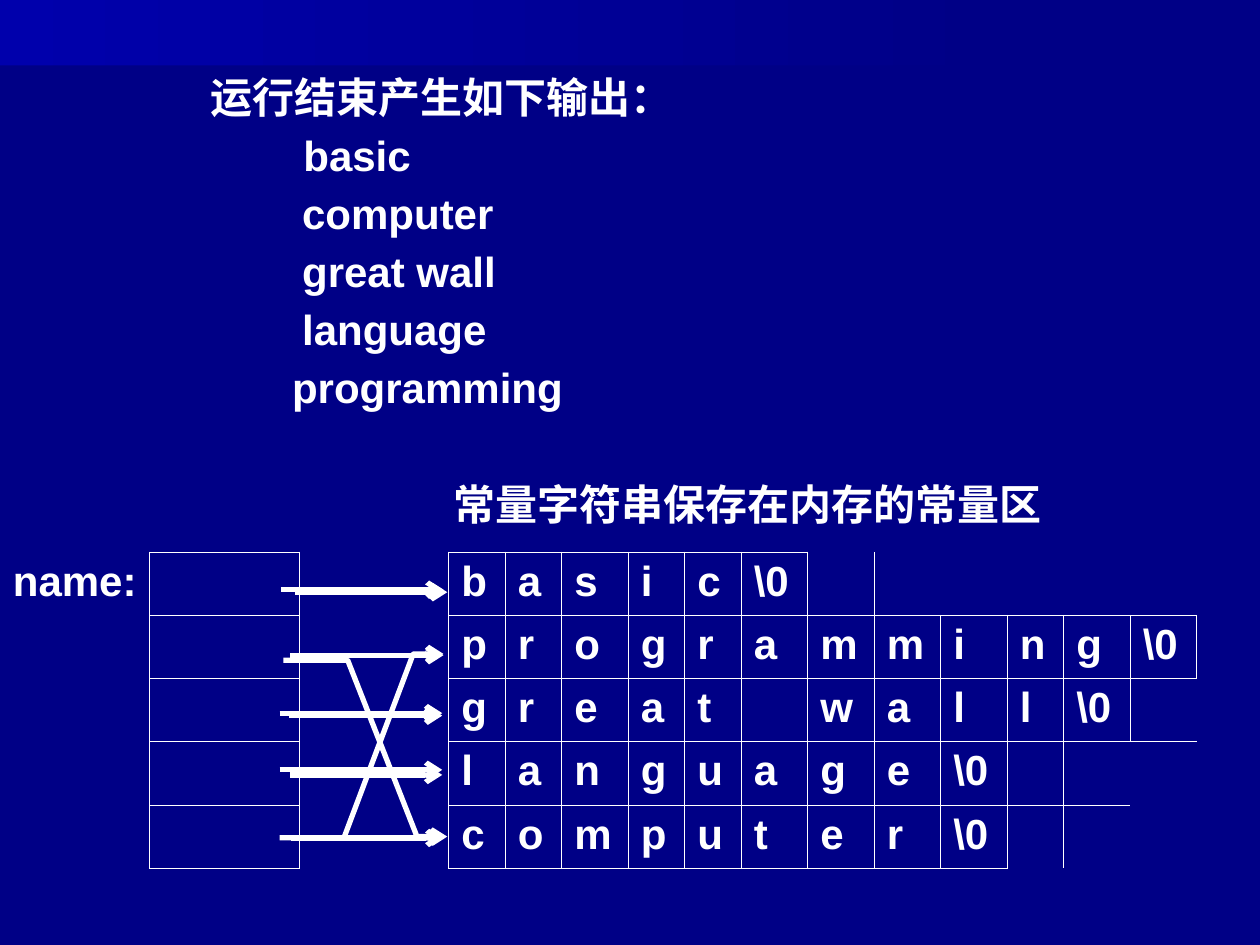
from lxml import etree
from pptx import Presentation, util as u
from pptx.dml.color import RGBColor
from pptx.enum import shapes, text
from pptx.oxml import parse_xml
from pptx.oxml.ns import nsdecls, qn

NAVY = RGBColor(0x00, 0x00, 0x86)
DARK = RGBColor(0x00, 0x00, 0x7D)
BLUE = RGBColor(0x00, 0x00, 0xAC)
WHITE = RGBColor(0xFF, 0xFF, 0xFF)
NO_GRID_STYLE = "{2D5ABB26-0587-4C30-8999-92F81FD0307C}"

prs = Presentation()
prs.slide_width, prs.slide_height = u.Inches(10), u.Inches(7.5)
COL, ROW = prs.slide_width / 100, prs.slide_height / 75


def grid(*values):
    """Turn alternating column and row counts into lengths."""
    return [round(v * (ROW if i % 2 else COL)) for i, v in enumerate(values)]


def write(tf, content, first=True, align=text.PP_ALIGN.LEFT, spacing=None, indent=0):
    p = tf.paragraphs[0] if first else tf.add_paragraph()
    p.alignment = align
    if spacing:
        p.line_spacing = spacing
    if indent:
        p._p.get_or_add_pPr().set("marL", str(round(indent * COL)))
    r = p.add_run()
    r.text = content
    r.font.name, r.font.size, r.font.bold = "Arial", u.Pt(24), True
    r.font.color.rgb = WHITE


slide = prs.slides.add_slide(prs.slide_layouts[6])
slide.background.fill.solid()
slide.background.fill.fore_color.rgb = NAVY

# Gradient bands behind everything
bands = [
    (DARK, [(77.8, 15.3), (0, 21.7), (0, 10.1), (77.9, 10.1)]),
    (BLUE, [(79.2, 16.2), (0, 20.8), (0, 0), (79.2, 0)]),
]
for color, points in bands:
    start, *rest = [grid(*pt) for pt in points]
    fb = slide.shapes.build_freeform(*start)
    fb.add_line_segments(rest, close=True)
    s = fb.convert_to_shape()
    s.shadow.inherit = False
    s.line.fill.background()
    s.fill.gradient()
    s.fill.gradient_angle = 180
    for stop, rgb, pos in zip(s.fill.gradient_stops, (NAVY, color), (0, 1)):
        stop.color.rgb = rgb
        stop.position = pos

# Memory table: pointer column on the left, one string per row on the right
words = ["basic", "programming", "great wall", "language", "computer"]
FIRST_LETTER, POINTER = 3, 1
letter_units = [0.45 if c in "nn" else 0.53 for c in "nnwnnwwwwnww"]
lead = 95 / 8
unit = (95 - FIRST_LETTER * lead) / sum(letter_units)
widths = [lead] * FIRST_LETTER + [unit * w for w in letter_units]

s = slide.shapes.add_table(len(words), len(widths), *grid(0, 43.8, 95, 25.1))
table = s.table
table.first_row = table.horz_banding = False
table._tbl.tblPr.find(qn("a:tableStyleId")).text = NO_GRID_STYLE
for column, width in zip(table.columns, widths):
    column.width = round(width * COL)

write(table.cell(0, 0).text_frame, "name:", align=text.PP_ALIGN.CENTER)
framed = set()
for i, word in enumerate(words):
    framed.add((i, POINTER))
    for j, char in enumerate([*word, "\\0"], FIRST_LETTER):
        framed.add((i, j))
        if char != " ":
            write(table.cell(i, j).text_frame, char)

sides = {"lnL": (0, -1), "lnR": (0, 1), "lnT": (-1, 0), "lnB": (1, 0)}
for i in range(len(words)):
    for j in range(len(widths)):
        cell = table.cell(i, j)
        cell.fill.background()
        borders = [
            tag for tag, (di, dj) in sides.items()
            if (i, j) in framed or (i + di, j + dj) in framed
        ]
        for k, tag in enumerate(borders):
            cell._tc.get_or_add_tcPr().insert(k, parse_xml(
                f'<a:{tag} {nsdecls("a")} w="{u.Pt(0.45)}"><a:solidFill>'
                f'<a:srgbClr val="{WHITE}"/></a:solidFill></a:{tag}>'))

# Arrows from the pointers to the strings, straight and crossing
arrows = [
    [(23.4, 47), (35.5, 47)],
    [(23, 52), (35.2, 52)],
    [(22.9, 56.8), (35.1, 56.8)],
    [(23, 61.5), (35.1, 61.5)],
    [(23.1, 66.5), (35.2, 66.5)],
    [(22.3, 46.8), (35.2, 46.8)],
    [(22.5, 52.4), (27.6, 52.4), (33.1, 66.4), (35.5, 66.4)],
    [(22.2, 56.6), (35.1, 56.6)],
    [(22.2, 61.1), (35.1, 61.1)],
    [(22.2, 66.5), (27.3, 66.5), (32.8, 51.9), (35.2, 51.9)],
]
for points in arrows:
    start, *rest = [grid(*pt) for pt in points]
    if len(rest) == 1:
        s = slide.shapes.add_connector(shapes.MSO_CONNECTOR.STRAIGHT, *start, *rest[0])
    else:
        fb = slide.shapes.build_freeform(*start)
        fb.add_line_segments(rest, close=False)
        s = fb.convert_to_shape()
        s.fill.background()
    s.line.color.rgb = WHITE
    s.line.width = u.Pt(3)
    etree.SubElement(s.line._get_or_add_ln(), qn("a:tailEnd"), type="arrow")
    etree.SubElement(s._element.spPr, qn("a:effectLst"))

# Program output
s = slide.shapes.add_shape(shapes.MSO_SHAPE.RECTANGLE, *grid(0, 5.2, 100, 27.4))
s.shadow.inherit = False
s.fill.solid()
s.fill.fore_color.rgb = NAVY
s.line.fill.background()
tf = s.text_frame
tf.word_wrap = True
tf.vertical_anchor = text.MSO_ANCHOR.MIDDLE
output = [
    ("运行结束产生如下输出：", 15.7),
    ("basic", 23.1),
    ("computer", 23),
    ("great wall", 23),
    ("language", 23),
    ("programming", 22.2),
]
for n, (line, indent) in enumerate(output):
    write(tf, line, first=n == 0, spacing=1.15, indent=indent)

# Caption above the strings
s = slide.shapes.add_textbox(*grid(35, 37.5, 55.1, 5))
s.text_frame.word_wrap = True
write(s.text_frame, "常量字符串保存在内存的常量区")

prs.save("out.pptx")
